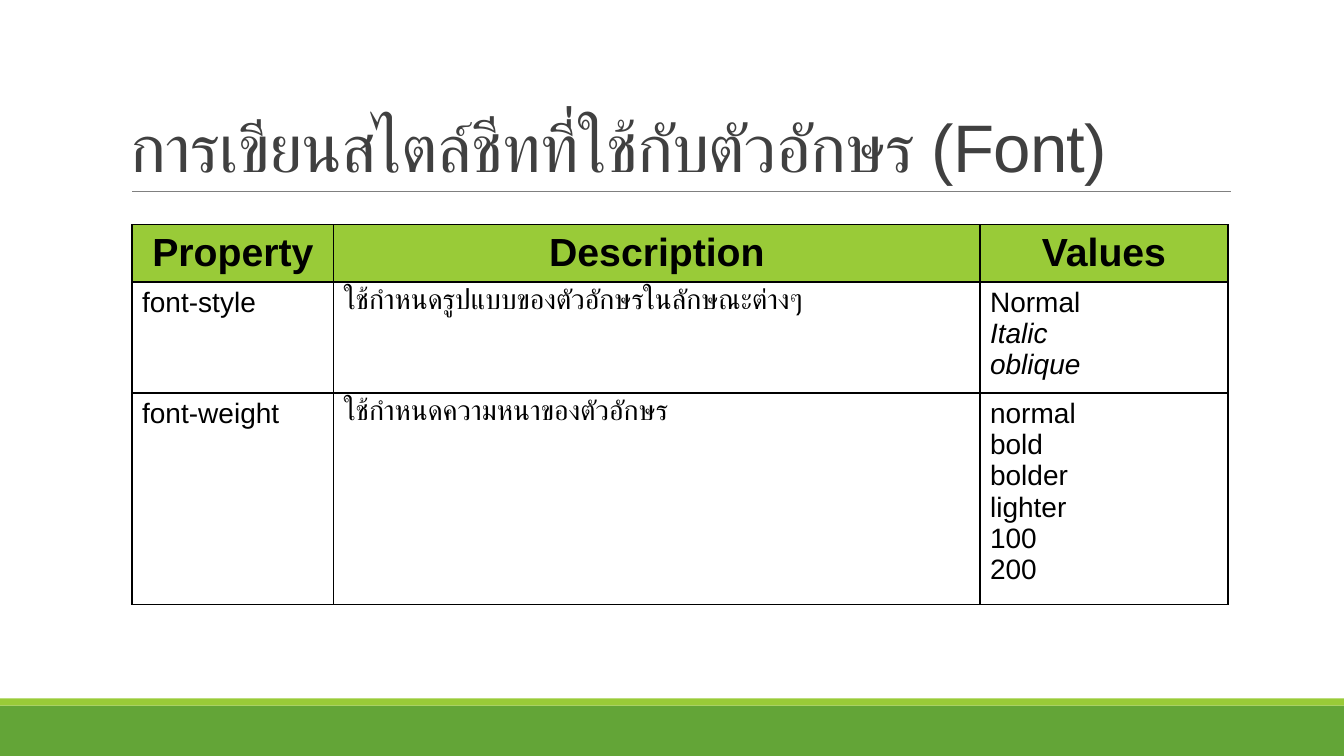
from lxml.etree import SubElement
from pptx import Presentation
from pptx.dml.color import RGBColor
from pptx.enum.shapes import MSO_CONNECTOR, MSO_SHAPE
from pptx.enum.text import MSO_ANCHOR, PP_ALIGN
from pptx.oxml.ns import qn
from pptx.util import Inches, Pt

LIME, GREEN, BLACK, DARK, GRAY = "99CB38", "63A537", "000000", "404040", "808080"
HEADS = ["Property", "Description", "Values"]
ROWS = [
    [["font-style"], ["ใช้กำหนดรูปแบบของตัวอักษรในลักษณะต่างๆ"],
     ["Normal", "Italic", "oblique"]],
    [["font-weight"], ["ใช้กำหนดความหนาของตัวอักษร"],
     ["normal\vbold\vbolder\vlighter\v100\v200"]],
]
ITALICS = ["Italic", "oblique"]
WIDTHS = [2, 6.41, 2.46]
HEIGHTS = [0.54, 1.1, 1.95]


def color(code):
    """Turn a hex string into a colour."""
    return RGBColor.from_string(code)


def style(font, name, size, code):
    """Set the face, size and colour of a font."""
    font.name, font.size = name, Pt(size)
    font.color.rgb = color(code)


def add_bar(slide, left, top, width, height, code):
    """Draw one plain band."""
    bar = slide.shapes.add_shape(MSO_SHAPE.RECTANGLE, Inches(left), Inches(top),
                                 Inches(width), Inches(height))
    bar.shadow.inherit = False
    bar.fill.solid()
    bar.fill.fore_color.rgb = color(code)
    bar.line.fill.background()


def add_footer(slide, left, top, width, height):
    """Draw the two green bands at the foot."""
    thin = 0.07
    add_bar(slide, left, top + thin, width, height - thin, GREEN)
    add_bar(slide, left, top, width, thin, LIME)


def add_title(slide, left, top, width, height):
    """Write the title and the rule beneath it."""
    base = Inches(top + height)
    rule = slide.shapes.add_connector(MSO_CONNECTOR.STRAIGHT, Inches(left + 0.11),
                                      base, Inches(left + 11.01), base)
    rule.line.color.rgb = color(GRAY)
    rule.line.width = Pt(0.5)
    SubElement(rule.element.spPr, qn("a:effectLst"))
    box = slide.shapes.add_textbox(Inches(left), Inches(top), Inches(width), Inches(height))
    frame = box.text_frame
    frame.word_wrap = True
    frame.vertical_anchor = MSO_ANCHOR.BOTTOM
    para = frame.paragraphs[0]
    para.line_spacing = 0.85
    for text, face in [("การเขียนสไตล์ชีทที่ใช้กับตัวอักษร ", "Roboto"), ("(Font)", "Arial")]:
        run = para.add_run()
        run.text = text
        style(run.font, face, 48, DARK)
        run.font._element.set("spc", "-50")


def add_borders(cell):
    """Put a thin black line on each side of a cell."""
    props = cell._tc.get_or_add_tcPr()
    for spot, side in enumerate(["lnL", "lnR", "lnT", "lnB"]):
        line = props.makeelement(qn("a:" + side), {"w": str(Pt(1))})
        fill = SubElement(line, qn("a:solidFill"))
        SubElement(fill, qn("a:srgbClr"), val=BLACK)
        props.insert(spot, line)


def fill_cell(cell, lines, face, head):
    """Write the lines of one cell and set its look."""
    if head:
        cell.fill.solid()
        cell.fill.fore_color.rgb = color(LIME)
        cell.vertical_anchor = MSO_ANCHOR.MIDDLE
    else:
        cell.fill.background()
    add_borders(cell)
    frame = cell.text_frame
    for spot, text in enumerate(lines):
        para = frame.add_paragraph() if spot else frame.paragraphs[0]
        para.text = text
        para.alignment = PP_ALIGN.CENTER if head else PP_ALIGN.LEFT
        style(para.font, face, 28 if head else 20, BLACK)
        para.font.bold = head
        para.font.italic = text in ITALICS


def add_grid(slide, left, top, width, height):
    """Build the table of font properties."""
    grid = slide.shapes.add_table(len(HEIGHTS), len(WIDTHS), Inches(left), Inches(top),
                                  Inches(width), Inches(height)).table
    for col, size in zip(grid.columns, WIDTHS):
        col.width = Inches(size)
    for row, size in zip(grid.rows, HEIGHTS):
        row.height = Inches(size)
    for r, row in enumerate([[[head] for head in HEADS]] + ROWS):
        for c, lines in enumerate(row):
            face = "Roboto" if r and c == 1 else "Arial"
            fill_cell(grid.cell(r, c), lines, face, r == 0)


def main():
    """Build and save the slide."""
    deck = Presentation()
    deck.slide_width, deck.slide_height = Inches(13.33), Inches(7.5)
    slide = deck.slides.add_slide(deck.slide_layouts[6])
    add_footer(slide, 0, 6.93, 13.33, 0.57)
    add_title(slide, 1.2, 0.65, 12, 1.25)
    add_grid(slide, 1.31, 2.23, sum(WIDTHS), sum(HEIGHTS))
    deck.save("out.pptx")


if __name__ == "__main__":
    main()
